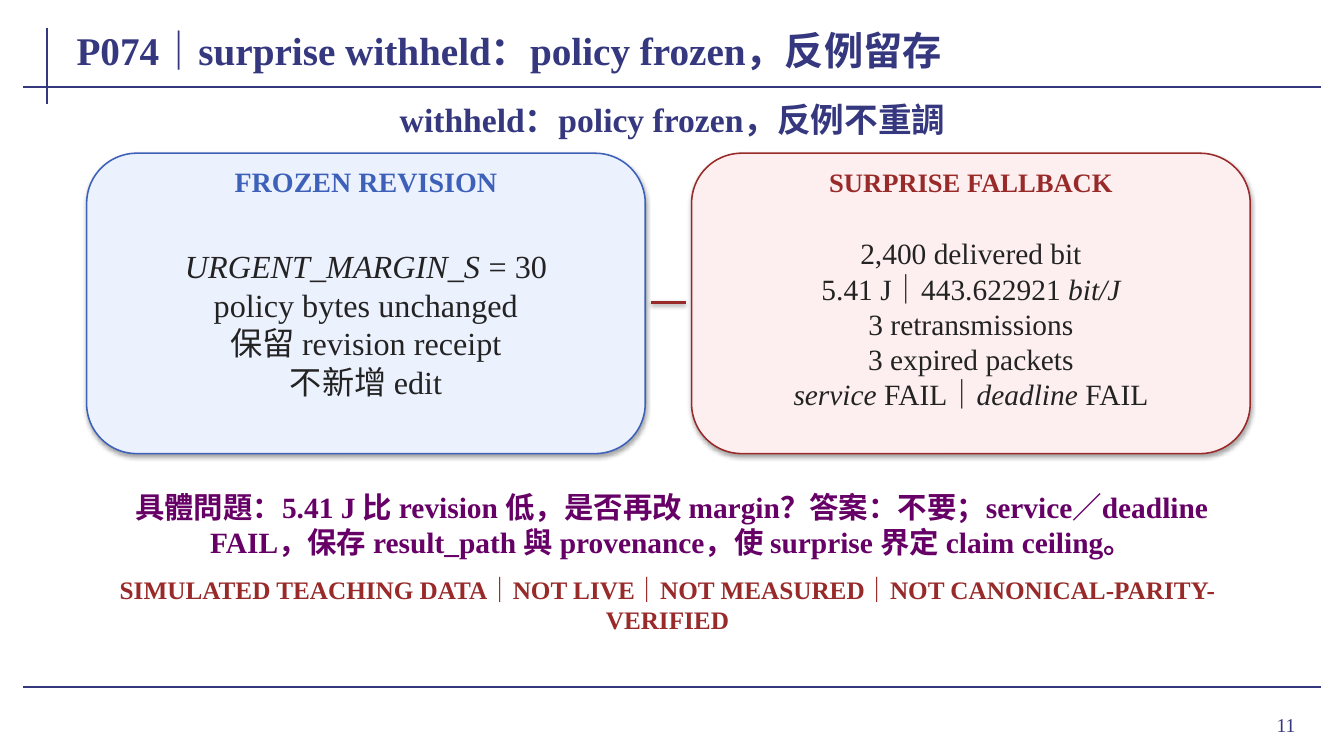
from lxml.etree import SubElement
from pptx import Presentation
from pptx.dml.color import RGBColor
from pptx.enum.shapes import MSO_CONNECTOR, MSO_SHAPE
from pptx.enum.text import MSO_ANCHOR, MSO_AUTO_SIZE, PP_ALIGN
from pptx.oxml.ns import qn
from pptx.util import Inches, Pt

NAVY = RGBColor(0x35, 0x37, 0x7F)
BLUE = RGBColor(0x3D, 0x61, 0xB9)
RED = RGBColor(0x99, 0x2A, 0x2A)
PURPLE = RGBColor(0x66, 0x00, 0x66)
INK = RGBColor(0x23, 0x23, 0x23)
PALE_BLUE = RGBColor(0xEC, 0xF1, 0xFE)
PALE_RED = RGBColor(0xFD, 0xEF, 0xEF)

deck = Presentation()
deck.slide_width, deck.slide_height = Inches(13.33), Inches(7.5)
slide = deck.slides.add_slide(deck.slide_layouts[6])
shapes = slide.shapes


def add_text(place, lines, size, color, bold=True, align=PP_ALIGN.CENTER, grow=True):
    frame = shapes.add_textbox(*map(Inches, place)).text_frame
    layout = {
        "word_wrap": True,
        "vertical_anchor": MSO_ANCHOR.MIDDLE,
        "auto_size": MSO_AUTO_SIZE.SHAPE_TO_FIT_TEXT if grow else MSO_AUTO_SIZE.NONE,
        "margin_left": Inches(0.08),
        "margin_right": Inches(0.08),
        "margin_top": Inches(0.04),
        "margin_bottom": Inches(0.04),
    }
    for name, value in layout.items():
        setattr(frame, name, value)
    for row, line in enumerate(lines):
        para = frame.paragraphs[0] if row == 0 else frame.add_paragraph()
        para.alignment = align
        for part, words in enumerate(line.split("*")):
            if words:
                run = para.add_run()
                run.text = words
                style = {"name": "Times New Roman", "size": Pt(size),
                         "bold": bold, "italic": part % 2 == 1}
                for name, value in style.items():
                    setattr(run.font, name, value)
                run.font.color.rgb = color


def add_shadow(shape, alpha=0, blur=0, drop=0):
    props = shape._element.spPr
    effects = SubElement(props, qn("a:effectLst"))
    if alpha:
        outer = SubElement(effects, qn("a:outerShdw"), blurRad=str(Pt(blur)),
                           dist=str(Pt(drop)), dir="5400000", rotWithShape="0")
        black = SubElement(outer, qn("a:srgbClr"), val="000000")
        SubElement(black, qn("a:alpha"), val=str(alpha * 1000))


rules = [
    (0.47, 0.28, 0.47, 1.03, NAVY, 1.5, ()),
    (0.23, 0.86, 13.1, 0.86, NAVY, 1.5, ()),
    (0.23, 6.82, 13.1, 6.82, NAVY, 1.5, ()),
    (6.46, 3, 6.8, 3, RED, 2, (38, 3.1, 1.6)),
]
for *ends, color, width, shade in rules:
    rule = shapes.add_connector(MSO_CONNECTOR.STRAIGHT, *map(Inches, ends))
    rule.line.color.rgb = color
    rule.line.width = Pt(width)
    add_shadow(rule, *shade)

add_text((0.68, 0.18, 11.95, 0.62), ["P074｜surprise withheld：policy frozen，反例留存"],
         28, NAVY, align=PP_ALIGN.LEFT, grow=False)
add_text((0.86, 0.94, 11.62, 0.48), ["withheld：policy frozen，反例不重調"], 24, NAVY)

cards = [
    (0.86, PALE_BLUE, BLUE, "FROZEN REVISION", 20, 23,
     ["*URGENT_MARGIN_S* = 30", "policy bytes unchanged",
      "保留 revision receipt", "不新增 edit"]),
    (6.86, PALE_RED, RED, "SURPRISE FALLBACK", 19, 21,
     ["2,400 delivered bit", "5.41 J｜443.622921 *bit/J*", "3 retransmissions",
      "3 expired packets", "*service* FAIL｜*deadline* FAIL"]),
]
for left, fill, color, head, large, small, lines in cards:
    card = shapes.add_shape(MSO_SHAPE.ROUNDED_RECTANGLE, Inches(left), Inches(1.52),
                            Inches(5.54), Inches(2.98))
    card.fill.solid()
    card.fill.fore_color.rgb = fill
    card.line.color.rgb = color
    card.line.width = Pt(1.1)
    add_shadow(card, 35, 3.1, 1.8)
    add_text((left + 0.14, 1.64, 5.26, 0.32), [head], large, color)
    add_text((left + 0.16, 2.04, 5.22, 2.34), lines, small, INK, bold=False)

add_text((1, 4.86, 11.32, 0.68),
         ["具體問題：5.41 J 比 revision 低，是否再改 margin？答案：不要；service／deadline FAIL，"
          "保存 result_path 與 provenance，使 surprise 界定 claim ceiling。"], 21, PURPLE)
add_text((0.72, 5.86, 11.8, 0.27),
         ["SIMULATED TEACHING DATA｜NOT LIVE｜NOT MEASURED｜NOT CANONICAL-PARITY-VERIFIED"],
         18, RED)
add_text((11.96, 6.93, 0.97, 0.52), ["11"], 14, NAVY, bold=False,
         align=PP_ALIGN.RIGHT, grow=False)

deck.save("out.pptx")
